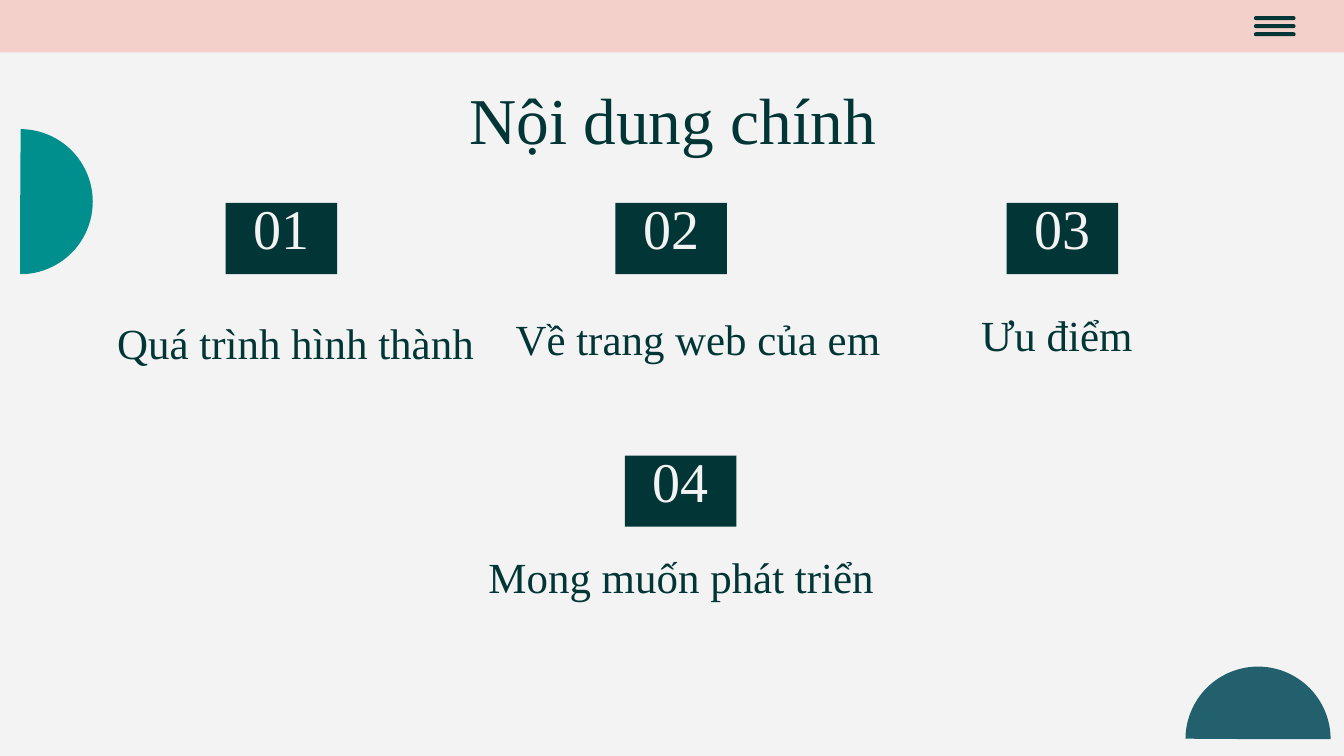
from pptx import Presentation
from pptx.dml.color import RGBColor
from pptx.enum.shapes import MSO_SHAPE
from pptx.enum.text import MSO_ANCHOR, PP_ALIGN
from pptx.util import Inches, Pt

RECT, PILL, PIE = MSO_SHAPE.RECTANGLE, MSO_SHAPE.ROUNDED_RECTANGLE, MSO_SHAPE.PIE
TOP, LOW = MSO_ANCHOR.TOP, MSO_ANCHOR.BOTTOM
MID = PP_ALIGN.CENTER
FONT = "Times New Roman"
DARK = RGBColor(0x02, 0x35, 0x35)
PALE = RGBColor(0xF3, 0xF3, 0xF3)
PINK = RGBColor(0xF3, 0xD0, 0xC9)
TEAL = RGBColor(0x00, 0x8F, 0x8C)
BLUE = RGBColor(0x23, 0x60, 0x6E)

TOPICS = [
    ("01", (1.68, 1.51), "Quá trình hình thành", (0.49, 2.31, 3.42, 0.53)),
    ("02", (4.58, 1.51), "Về trang web của em", (3.67, 2.28, 3.05, 0.53)),
    ("03", (7.49, 1.51), "Ưu điểm ", (6.6, 2.25, 2.61, 0.53)),
    ("04", (4.65, 3.39), "Mong muốn phát triển", (3.42, 4.05, 3.3, 0.53)),
]


def add_form(slide, kind, box, color):
    """Add a plain filled shape."""
    form = slide.shapes.add_shape(kind, *map(Inches, box))
    form.shadow.inherit = False
    form.fill.solid()
    form.fill.fore_color.rgb = color
    form.line.fill.background()
    return form


def set_text(form, text, size, color, anchor=LOW):
    """Write one centred line into a shape."""
    frame = form.text_frame
    frame.word_wrap = True
    frame.vertical_anchor = anchor
    frame.margin_left = frame.margin_right = Inches(0.1)
    frame.margin_top = frame.margin_bottom = Inches(0.1)
    line = frame.paragraphs[0]
    line.alignment = MID
    run = line.add_run()
    run.text = text
    run.font.name = FONT
    run.font.size = Pt(size)
    run.font.color.rgb = color


def add_half(slide, left, top, turn, color):
    """Add a half disc turned to the given angle."""
    half = add_form(slide, PIE, (left, top, 1.08, 1.08), color)
    half.adjustments[0] = 54.21
    half.adjustments[1] = 162
    half.rotation = turn


def add_bar(slide, left, top, width, height):
    """Add the top band with its menu icon."""
    add_form(slide, RECT, (left, top, width, height), PINK)
    for row in range(3):
        box = (left + width - 0.67, top + 0.12 + 0.06 * row, 0.31, 0.03)
        add_form(slide, PILL, box, DARK).adjustments[0] = 0.5


def add_title(slide, box, text):
    """Add the slide title."""
    form = slide.shapes.add_textbox(*map(Inches, box))
    set_text(form, text, 35, DARK, TOP)


def add_topic(slide, number, spot, label, box):
    """Add a numbered tile and its label."""
    tile = add_form(slide, RECT, (*spot, 0.83, 0.53), DARK)
    set_text(tile, number, 30, PALE)
    set_text(slide.shapes.add_textbox(*map(Inches, box)), label, 23, DARK)


def main():
    """Build and save the slide."""
    deck = Presentation()
    deck.slide_width = Inches(10)
    deck.slide_height = deck.slide_width * 9 // 16
    slide = deck.slides.add_slide(deck.slide_layouts[6])
    slide.background.fill.solid()
    slide.background.fill.fore_color.rgb = PALE
    add_half(slide, 8.82, 4.96, 90, BLUE)
    add_half(slide, -0.39, 0.96, 180, TEAL)
    add_bar(slide, 0, 0, 10, 0.39)
    add_title(slide, (0.79, 0.49, 8.43, 0.63), "Nội dung chính")
    for topic in TOPICS:
        add_topic(slide, *topic)
    deck.save("out.pptx")


if __name__ == "__main__":
    main()
